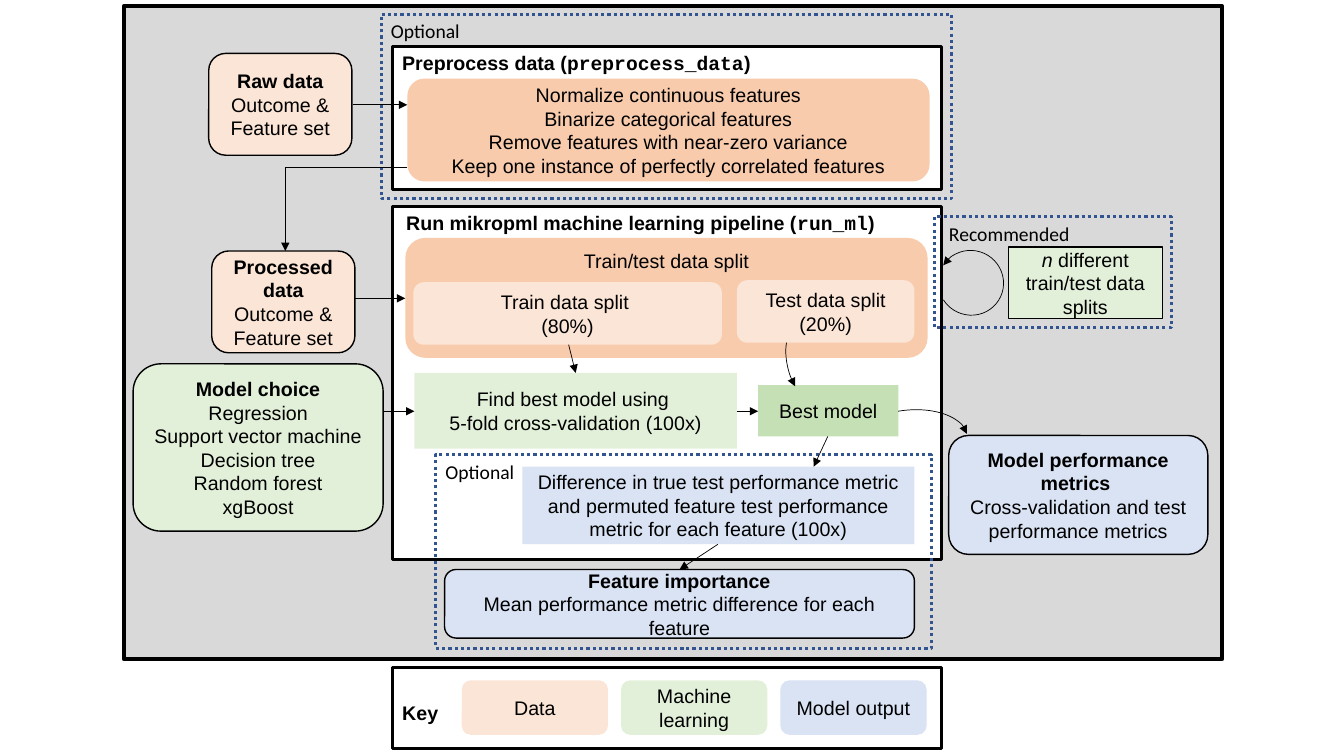
from dataclasses import dataclass
from typing import NamedTuple

from lxml.etree import SubElement
from pptx import Presentation
from pptx.dml.color import RGBColor
from pptx.enum.dml import MSO_LINE
from pptx.enum.shapes import MSO_CONNECTOR, MSO_SHAPE as Shape
from pptx.enum.text import MSO_ANCHOR as Anchor, PP_ALIGN as Align
from pptx.oxml.ns import qn
from pptx.util import Inches, Pt

COLS, ROWS = 133.3, 75
CELL = 0.1
BLACK, WHITE, GREY, BLUE_LINE = "000000", "FFFFFF", "D9D9D9", "325491"
PEACH, ORANGE = "FBE5D6", "F8CBAD"
LIGHT_GREEN, GREEN, LIGHT_BLUE = "E2F0D9", "C5E0B4", "DAE3F3"
FINE, THIN, MEDIUM, THICK = 0.5, 1, 2.25, 3


class Run(NamedTuple):
    """A piece of text in one style."""
    text: str
    bold: bool = False
    italic: bool = False
    font: str = "Arial"


@dataclass(frozen=True)
class Box:
    """A filled or outlined box placed in grid columns and rows."""
    col: float
    row: float
    cols: float
    rows: float
    fill: str = ""
    text: tuple[tuple[Run, ...], ...] = ()
    border: float = 0
    line: str = BLACK
    rounded: bool = False
    centred: bool = True
    top: bool = False
    dotted: bool = False
    pad: float = 0.5


class Arrow(NamedTuple):
    """A straight line between two grid points."""
    col: float
    row: float
    to_col: float
    to_row: float
    headed: bool = True


class Loop(NamedTuple):
    """A curved arrow along part of an ellipse."""
    col: float
    row: float
    cols: float
    rows: float
    turn: float
    start: float
    stop: float
    end: str


def bold(text: str) -> Run:
    """Return a bold run."""
    return Run(text, bold=True)


def lines(*texts: str) -> tuple[tuple[Run, ...], ...]:
    """Return one plain paragraph for each text."""
    return tuple((Run(text),) for text in texts)


def titled(title: str, *texts: str) -> tuple[tuple[Run, ...], ...]:
    """Return a bold paragraph followed by plain ones."""
    return ((bold(title),), *lines(*texts))


def call_title(title: str, function: str) -> tuple[tuple[Run, ...], ...]:
    """Return a bold title with a function name in brackets."""
    return ((bold(f"{title} ("), Run(function, True, font="Courier New"), bold(")")),)


def data_box(col: float, row: float, title: str) -> Box:
    """Return a data set box."""
    text = ((bold(title), Run(" Outcome & Feature set")),)
    return Box(col, row, 14.2, 10.1, PEACH, text, THIN, rounded=True)


def dotted_box(col: float, row: float, cols: float, rows: float, label: str) -> Box:
    """Return a dotted frame with a label in its corner."""
    text = ((Run(label, font="Calibri"),),)
    return Box(col, row, cols, rows, "", text, MEDIUM, BLUE_LINE,
               centred=False, top=True, dotted=True)


BOXES = (
    Box(12.3, 0.6, 108.9, 64.8, GREY, border=THICK),
    Box(13.2, 36.1, 24.8, 16.6, LIGHT_GREEN,
        titled("Model choice", "Regression", "Support vector machine",
               "Decision tree", "Random forest", "xgBoost"), THIN, rounded=True),
    Box(38.9, 20.5, 54.5, 35, WHITE, border=MEDIUM),
    Box(40.2, 23.6, 51.8, 11.9, ORANGE, lines("Train/test data split"), rounded=True, top=True),
    Box(41, 28, 30.6, 6.2, PEACH, lines("Train data split ", "(80%)"), rounded=True),
    Box(73.1, 27.8, 17.6, 6.2, PEACH, lines("Test data split (20%)"), rounded=True),
    Box(41.1, 37, 32, 7.5, LIGHT_GREEN,
        lines("Find best model using ", "5-fold cross-validation (100x)")),
    Box(75.2, 38.2, 13.9, 5.1, GREEN, lines("Best model")),
    Box(51.8, 46.3, 38.9, 7.7, LIGHT_BLUE,
        lines("Difference in true test performance metric and permuted feature "
              "test performance metric for each feature (100x)")),
    Box(94.1, 43.2, 25.7, 11.8, LIGHT_BLUE,
        titled("Model performance metrics ",
               "Cross-validation and test performance metrics"), THIN, rounded=True),
    Box(44.1, 56.5, 46.6, 6.8, LIGHT_BLUE,
        titled("Feature importance",
               "Mean performance metric difference for each feature"), THIN, rounded=True),
    Box(39.3, 20.4, 55.4, 3.4, "",
        call_title("Run mikropml machine learning pipeline", "run_ml"), centred=False, top=True),
    dotted_box(43.2, 45.1, 49.2, 19.2, "Optional"),
    dotted_box(37.8, 1.4, 56.6, 18.3, "Optional"),
    Box(38.9, 4.6, 54.5, 14.2, WHITE, call_title("Preprocess data", "preprocess_data"),
        MEDIUM, centred=False, top=True),
    data_box(20.7, 5.3, "Raw data"),
    Box(40.4, 7.8, 51.8, 10.2, ORANGE,
        lines("Normalize continuous features", "Binarize categorical features",
              "Remove features with near-zero variance",
              "Keep one instance of perfectly correlated features"), rounded=True),
    data_box(21, 24.9, "Processed data"),
    Box(100, 24.5, 15.3, 7.1, LIGHT_GREEN,
        ((Run("n", italic=True), Run(" different train/test data splits")),), THIN),
    dotted_box(92.7, 21.5, 23.5, 11, " Recommended"),
)
KEY_FRAME = Box(38.9, 66.2, 54.5, 8.1, WHITE, titled("Key"), MEDIUM,
                centred=False, top=True, pad=3.3)
KEY_ENTRIES = (("Data", PEACH), ("Machine learning", LIGHT_GREEN), ("Model output", LIGHT_BLUE))
ARROWS = (
    Arrow(35.2, 29.6, 40.2, 29.6),
    Arrow(56.4, 34.2, 57.1, 37),
    Arrow(73.1, 40.8, 75.2, 40.8),
    Arrow(82.1, 43.3, 80.7, 46.3),
    Arrow(71.2, 54, 67.4, 56.5),
    Arrow(38, 40.8, 41.1, 40.8),
    Arrow(35, 10.4, 40.4, 10.4),
    Arrow(40.4, 16.6, 28.3, 16.6, headed=False),
    Arrow(28.3, 16.6, 28.3, 24.9),
)
LOOPS = (
    Loop(84, 40.7, 12, 6.6, 353.2, 156.51, 214.59, "tailEnd"),
    Loop(76.2, 34.2, 7.6, 3.8, 255.7, 132.93, 198.63, "headEnd"),
    Loop(93.1, 24.8, 6.4, 6.5, 302.2, 162, 123.57, "headEnd"),
)


def grid(*cells: float) -> list[int]:
    """Turn grid counts into slide lengths."""
    return [Inches(n * CELL) for n in cells]


def paint(fill, colour: str) -> None:
    """Set a solid colour, or none when it is empty."""
    if colour:
        fill.solid()
        fill.fore_color.rgb = RGBColor.from_string(colour)
    else:
        fill.background()


def outline(sp, width: float, colour: str = BLACK, end: str = "") -> None:
    """Draw a line, with an arrowhead at the named end."""
    paint(sp.line.fill, colour if width else "")
    if width:
        sp.line.width = Pt(width)
    if end:
        SubElement(sp.element.spPr.find(qn("a:ln")), qn(f"a:{end}"), type="triangle")


def draw_box(shapes, box: Box) -> None:
    """Draw a box and its text."""
    kind = Shape.ROUNDED_RECTANGLE if box.rounded else Shape.RECTANGLE
    sp = shapes.add_shape(kind, *grid(box.col, box.row, box.cols, box.rows))
    sp.shadow.inherit = False
    paint(sp.fill, box.fill)
    outline(sp, box.border, box.line)
    if box.dotted:
        sp.line.dash_style = MSO_LINE.ROUND_DOT
    tf = sp.text_frame
    tf.word_wrap = True
    tf.margin_top = grid(box.pad)[0]
    tf.vertical_anchor = Anchor.TOP if box.top else Anchor.MIDDLE
    for i, runs in enumerate(box.text):
        p = tf.add_paragraph() if i else tf.paragraphs[0]
        p.alignment = Align.CENTER if box.centred else Align.LEFT
        for run in runs:
            r = p.add_run()
            r.text = run.text
            r.font.name, r.font.size = run.font, Pt(14)
            r.font.bold, r.font.italic = run.bold, run.italic
            paint(r.font.fill, BLACK)


def draw_arrow(shapes, arrow: Arrow) -> None:
    """Draw a straight arrow."""
    sp = shapes.add_connector(MSO_CONNECTOR.STRAIGHT, *grid(*arrow[:4]))
    outline(sp, FINE, end="tailEnd" if arrow.headed else "")
    SubElement(sp.element.spPr, qn("a:effectLst"))


def draw_loop(shapes, loop: Loop) -> None:
    """Draw a curved arrow."""
    sp = shapes.add_shape(Shape.ARC, *grid(*loop[:4]))
    sp.adjustments[0], sp.adjustments[1] = loop.start, loop.stop
    sp.rotation = loop.turn
    sp.shadow.inherit = False
    paint(sp.fill, "")
    outline(sp, FINE, end=loop.end)


def main() -> None:
    """Build the slide and save it."""
    prs = Presentation()
    prs.slide_width, prs.slide_height = grid(COLS, ROWS)
    shapes = prs.slides.add_slide(prs.slide_layouts[6]).shapes
    for box in BOXES:
        draw_box(shapes, box)
    key = shapes.add_group_shape().shapes
    draw_box(key, KEY_FRAME)
    for i, (label, colour) in enumerate(KEY_ENTRIES):
        draw_box(key, Box(45.8 + 15.8 * i, 67.5, 14.5, 5.4, colour, lines(label), rounded=True))
    for arrow in ARROWS:
        draw_arrow(shapes, arrow)
    for loop in LOOPS:
        draw_loop(shapes, loop)
    prs.save("out.pptx")


if __name__ == "__main__":
    main()
